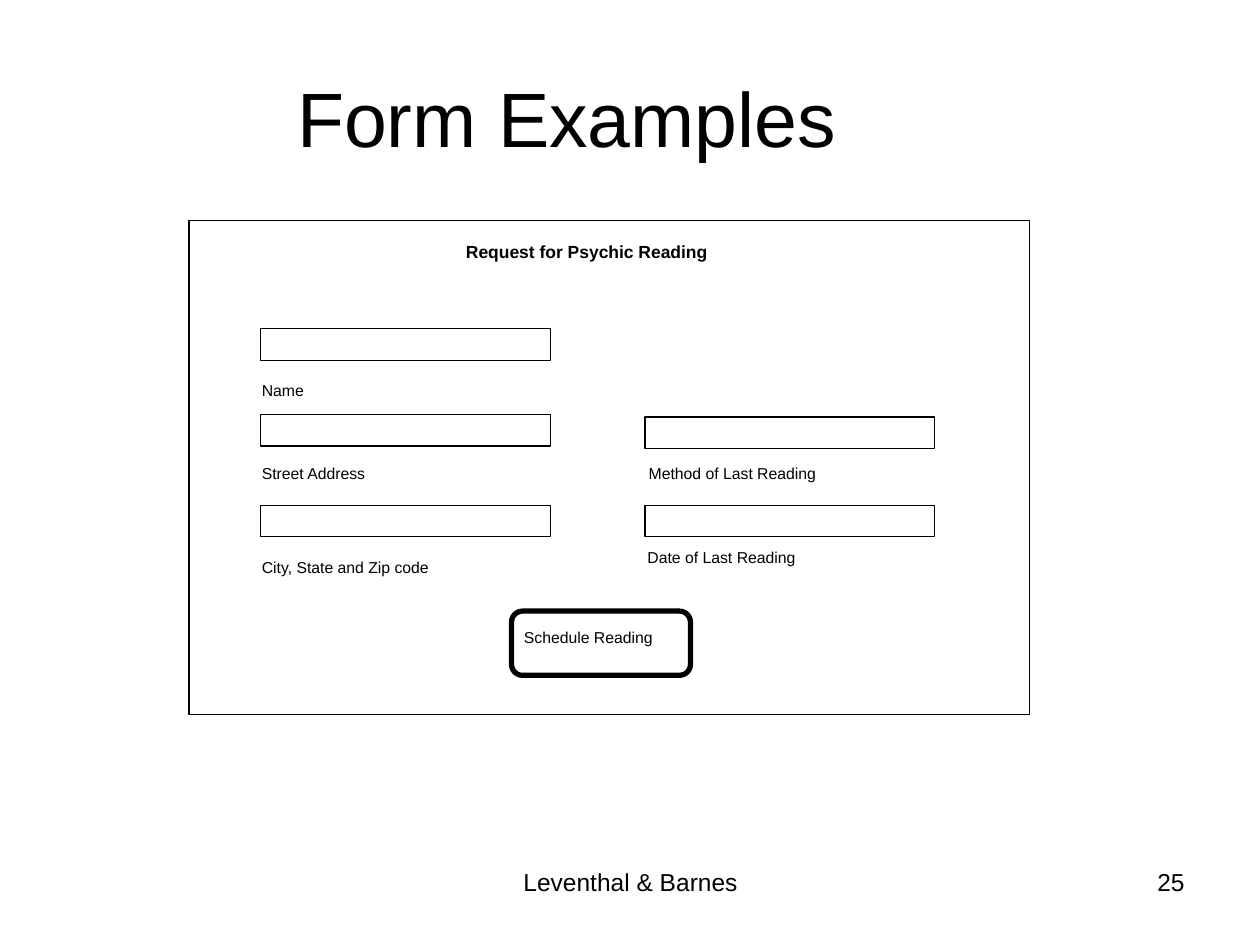
from dataclasses import dataclass

from pptx import Presentation
from pptx.dml.color import RGBColor
from pptx.enum.shapes import MSO_SHAPE as Shape
from pptx.enum.text import MSO_ANCHOR as Anchor, PP_ALIGN as Align
from pptx.util import Inches, Pt

BLACK = RGBColor(0x00, 0x00, 0x00)
WHITE = RGBColor(0xFF, 0xFF, 0xFF)
FONT = "Arial"
COLUMNS, ROWS = 100, 75
FIELD_WIDTH, FIELD_HEIGHT = 23, 2.5

deck = Presentation()
deck.slide_width, deck.slide_height = Inches(10), Inches(7.5)


@dataclass(frozen=True)
class Area:
    column: float
    row: float
    width: float
    height: float

    def lengths(self) -> tuple[int, int, int, int]:
        across = deck.slide_width / COLUMNS
        down = deck.slide_height / ROWS
        return (round(self.column * across), round(self.row * down),
                round(self.width * across), round(self.height * down))


@dataclass(frozen=True)
class Label:
    text: str
    area: Area
    size: float = 9
    bold: bool = False


LABELS = [
    Label("Request for Psychic Reading", Area(36, 18.6, 28.7, 5), size=10, bold=True),
    Label("Name", Area(19.8, 29.7, 8, 3.7)),
    Label("Street Address", Area(19.8, 36.3, 20.7, 3.7)),
    Label("City, State and Zip code", Area(19.8, 43.8, 23, 3.7)),
    Label("Method of Last Reading", Area(50.5, 36.3, 19.5, 5)),
    Label("Date of Last Reading", Area(50.4, 43, 16.1, 3.7)),
    Label("Schedule Reading", Area(40.6, 49.3, 14.9, 4)),
]
FIELD_ROWS = {20.7: (26.1, 32.9, 40.1), 51.2: (33.1, 40.1)}


def write(box, text: str, *, size: float, bold: bool = False,
          align=Align.LEFT, anchor=Anchor.TOP) -> None:
    frame = box.text_frame
    frame.word_wrap = True
    frame.vertical_anchor = anchor
    para = frame.paragraphs[0]
    para.alignment = align
    span = para.add_run()
    span.text = text
    span.font.name = FONT
    span.font.size = Pt(size)
    span.font.bold = bold
    span.font.color.rgb = BLACK


def draw_box(page, area: Area, kind=Shape.RECTANGLE, fill=WHITE, line: float = 0):
    box = page.shapes.add_shape(kind, *area.lengths())
    box.shadow.inherit = False
    if fill is None:
        box.fill.background()
    else:
        box.fill.solid()
        box.fill.fore_color.rgb = fill
    if line:
        box.line.color.rgb = BLACK
        box.line.width = Pt(line)
    else:
        box.line.fill.background()
    return box


def draw_label(page, label: Label) -> None:
    write(draw_box(page, label.area), label.text, size=label.size, bold=label.bold)


def draw_footer(page, text: str, area: Area, align) -> None:
    write(page.shapes.add_textbox(*area.lengths()), text, size=14, align=align)


def main() -> None:
    page = deck.slides.add_slide(deck.slide_layouts[5])
    title = page.shapes.title
    title.left, title.top, title.width, title.height = Area(0, 3, 90, 12.5).lengths()
    write(title, "Form Examples", size=44, align=Align.CENTER, anchor=Anchor.MIDDLE)

    draw_box(page, Area(15, 17.5, 66.7, 39.2), line=0.75)
    for label in LABELS:
        draw_label(page, label)
    for column, rows in FIELD_ROWS.items():
        for row in rows:
            draw_box(page, Area(column, row, FIELD_WIDTH, FIELD_HEIGHT), line=0.75)
    button = draw_box(page, Area(40.6, 48.5, 14.2, 5.1),
                      kind=Shape.ROUNDED_RECTANGLE, fill=None, line=3)
    button.adjustments[0] = 0.17

    draw_footer(page, "Leventhal & Barnes", Area(34.2, 68.3, 31.7, 5.2), Align.CENTER)
    draw_footer(page, "25", Area(71.7, 68.3, 23.3, 5.2), Align.RIGHT)
    deck.save("out.pptx")


if __name__ == "__main__":
    main()
